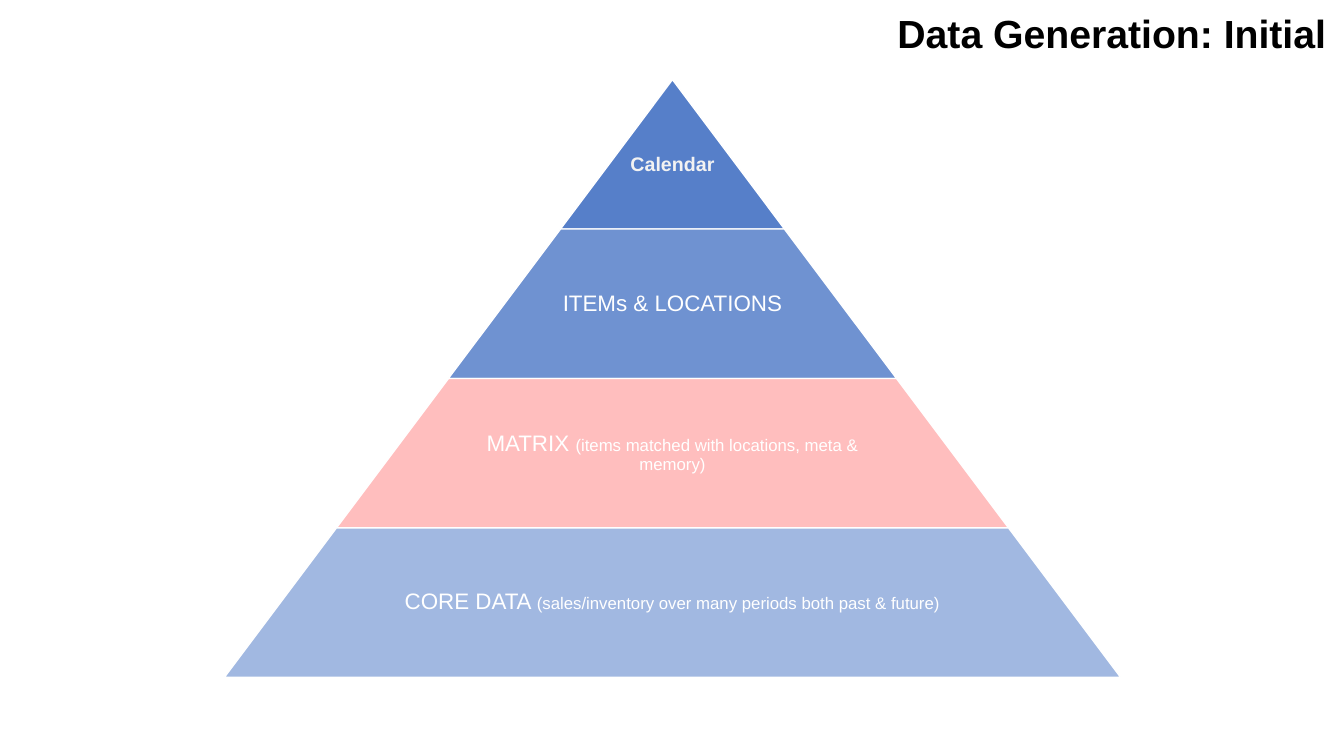
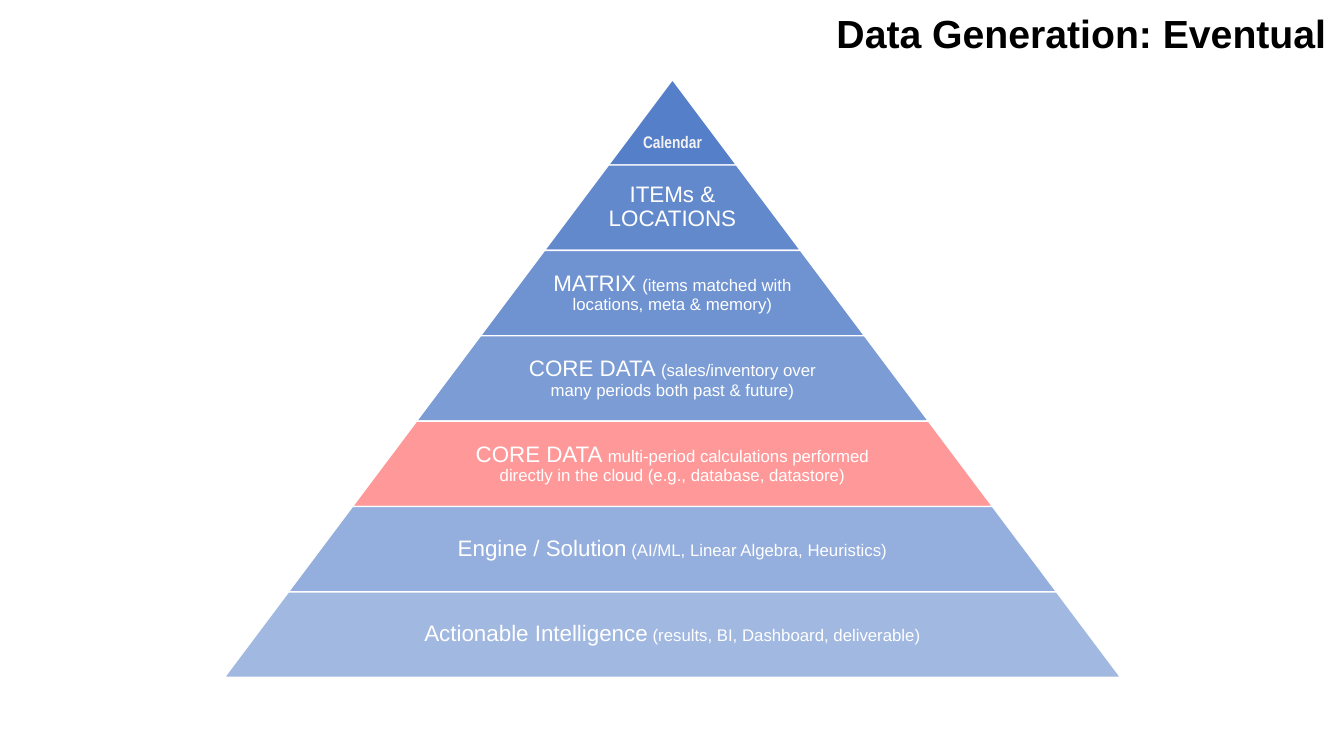
from dataclasses import dataclass

from lxml.etree import SubElement
from pptx import Presentation
from pptx.dml.color import RGBColor
from pptx.enum.shapes import MSO_SHAPE as Shape
from pptx.enum.text import MSO_ANCHOR as Anchor, MSO_AUTO_SIZE as AutoSize, PP_ALIGN as Align
from pptx.oxml.ns import qn
from pptx.slide import Slide
from pptx.util import Inches, Pt

# Colours and fonts
BLACK = RGBColor(0x00, 0x00, 0x00)
WHITE = RGBColor(0xFF, 0xFF, 0xFF)
PALE_GREY = RGBColor(0xF2, 0xF2, 0xF2)
BLUE = RGBColor(0x44, 0x72, 0xC4)
CORAL = RGBColor(0xFF, 0x99, 0x99)
FONT = "Arial"
NARROW_FONT = "Arial Narrow"

# Pyramid geometry, in inches
CENTER = 6.67
TOP = 0.79
BASE_WIDTH = 8.89
HEIGHT = 5.93
SLOPE = 0.75
LABEL_SHARE = 0.65
INSET = 0.02

# Opacity fades from the tip to the base, in percent
TIP_OPACITY = 90
BASE_OPACITY = 50


@dataclass(frozen=True)
class Tip:
    """The bold label in the tip, lowered to where the triangle is wider."""
    text: str
    font: str
    size: int
    drop: float


@dataclass(frozen=True)
class Level:
    """A band below the tip: large heading, then a smaller detail."""
    heading: str
    detail: str = ""
    color: RGBColor = BLUE
    opaque: bool = False


@dataclass(frozen=True)
class Pyramid:
    title: str
    tip: Tip
    levels: tuple[Level, ...]


ITEMS = Level("ITEMs & LOCATIONS")
MATRIX = ("MATRIX ", "(items matched with locations, meta & memory)")
CORE_DATA = Level("CORE DATA ", "(sales/inventory over many periods both past & future)")

PYRAMIDS = (
    Pyramid(
        "Data Generation: Initial",
        Tip("Calendar", FONT, 14, 0.19),
        (ITEMS, Level(*MATRIX, color=CORAL), CORE_DATA),
    ),
    Pyramid(
        "Data Generation: Eventual",
        Tip("Calendar", NARROW_FONT, 12, 0.38),
        (
            ITEMS,
            Level(*MATRIX),
            CORE_DATA,
            Level("CORE DATA ", "multi-period calculations performed directly in the cloud "
                  "(e.g., database, datastore)", CORAL, opaque=True),
            Level("Engine / Solution", " (AI/ML, Linear Algebra, Heuristics)"),
            Level("Actionable Intelligence", " (results, BI, Dashboard, deliverable)"),
        ),
    ),
)


def add_title(slide: Slide, text: str) -> None:
    box = slide.shapes.add_textbox(Inches(4.08), Inches(0.04), Inches(9.17), Inches(0.57))
    frame = box.text_frame
    frame.word_wrap = True
    frame.auto_size = AutoSize.SHAPE_TO_FIT_TEXT
    paragraph = frame.paragraphs[0]
    paragraph.text = text
    paragraph.alignment = Align.RIGHT
    font = paragraph.font
    font.name, font.size, font.bold = FONT, Pt(28), True
    font.color.rgb = BLACK


def add_band(slide: Slide, top: float, width: float, height: float,
             color: RGBColor, opacity: float) -> None:
    band = slide.shapes.add_shape(Shape.TRAPEZOID, Inches(CENTER - width / 2), Inches(top),
                                  Inches(width), Inches(height))
    band.adjustments[0] = SLOPE
    band.shadow.inherit = False
    band.fill.solid()
    band.fill.fore_color.rgb = color
    band.line.color.rgb = WHITE
    band.line.width = Pt(1)
    if opacity < 100:
        rgb = band.fill._xPr.find(qn("a:solidFill")).find(qn("a:srgbClr"))
        SubElement(rgb, qn("a:alpha"), val=str(round(opacity * 1000)))


def add_label(slide: Slide, top: float, width: float, height: float, drop: float = 0):
    """Add a centred text box and return its empty paragraph."""
    box = slide.shapes.add_textbox(Inches(CENTER - width / 2), Inches(top),
                                   Inches(width), Inches(height))
    frame = box.text_frame
    frame.word_wrap = True
    frame.vertical_anchor = Anchor.MIDDLE
    frame.margin_left = frame.margin_right = frame.margin_bottom = Inches(INSET)
    frame.margin_top = Inches(INSET + drop)
    paragraph = frame.paragraphs[0]
    paragraph.alignment = Align.CENTER
    return paragraph


def add_tip_label(slide: Slide, tip: Tip, width: float, height: float) -> None:
    paragraph = add_label(slide, TOP, width, height, tip.drop)
    paragraph.text = tip.text
    font = paragraph.font
    font.name, font.size, font.bold = tip.font, Pt(tip.size), True
    font.color.rgb = PALE_GREY


def add_level_label(slide: Slide, level: Level, top: float, width: float, height: float) -> None:
    paragraph = add_label(slide, top, width * LABEL_SHARE, height)
    paragraph.line_spacing = 0.9
    paragraph.font.name = FONT
    paragraph.font.color.rgb = WHITE
    for text, size in ((level.heading, 16), (level.detail, 12)):
        if text:
            run = paragraph.add_run()
            run.text = text
            run.font.size = Pt(size)


def add_pyramid(slide: Slide, pyramid: Pyramid) -> None:
    count = len(pyramid.levels) + 1
    height = HEIGHT / count
    tip_width = BASE_WIDTH / count
    fade = (TIP_OPACITY - BASE_OPACITY) / (count - 1)

    add_band(slide, TOP, tip_width, height, BLUE, TIP_OPACITY)
    add_tip_label(slide, pyramid.tip, tip_width, height)
    for index, level in enumerate(pyramid.levels, start=1):
        top = TOP + index * height
        width = tip_width * (index + 1)
        opacity = 100 if level.opaque else TIP_OPACITY - fade * index
        add_band(slide, top, width, height, level.color, opacity)
        add_level_label(slide, level, top, width, height)


def main() -> None:
    presentation = Presentation()
    presentation.slide_width = Inches(13.33)
    presentation.slide_height = Inches(7.5)
    blank = presentation.slide_layouts[6]
    for pyramid in PYRAMIDS:
        slide = presentation.slides.add_slide(blank)
        add_title(slide, pyramid.title)
        add_pyramid(slide, pyramid)
    presentation.save("out.pptx")


if __name__ == "__main__":
    main()
